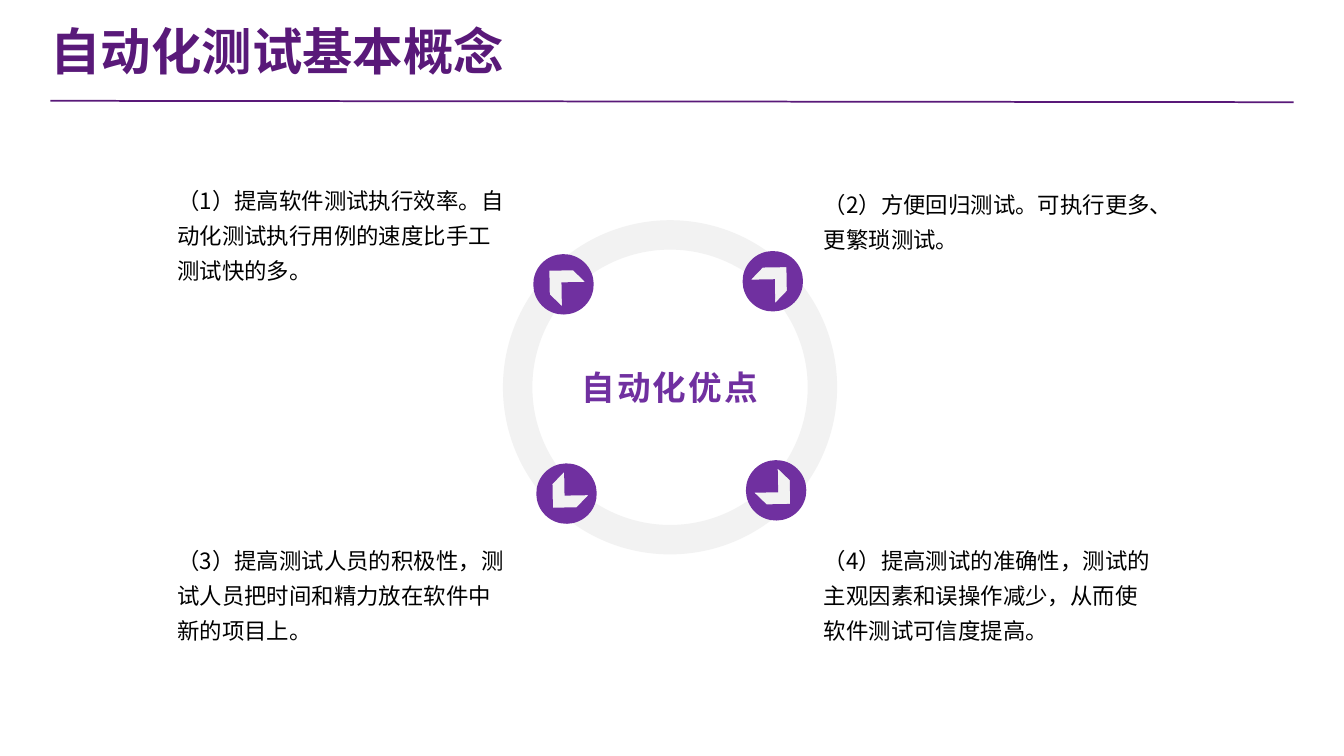
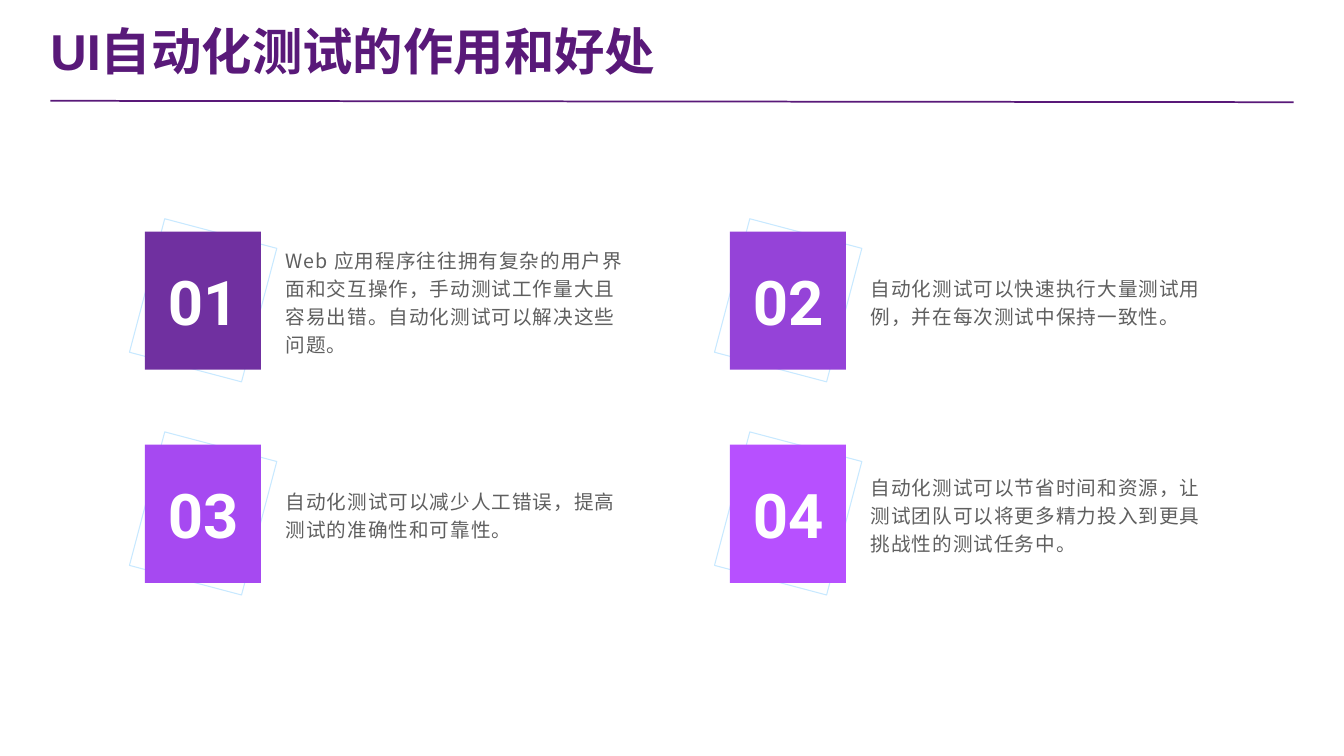
from lxml import etree
from pptx import Presentation
from pptx import util as u
from pptx.dml.color import RGBColor
from pptx.enum import shapes, text
from pptx.oxml.ns import qn

INK = {
    "head": "591979", "main": "7030A0", "ring": "F2F2F2", "frame": "C8E9FF",
    "black": "000000", "grey": "5F5F5F", "white": "FFFFFF",
}
CJK = "Noto Sans CJK SC"
RADIUS = 43.2
BEND = 0.55
ARROW = [(0, -28), (-24, -4), (-24, 20), (0, -4), (24, 20), (24, -4)]
BADGES = [(805, 406.2), (1104, 401.8), (1108.7, 700.5), (809.3, 705.1)]
PLUSES = [
    (246.2, 251.3, 159.8, "（1）提高软件测试执行效率。自动化测试执行用例的速度比手工测试快的多。"),
    (1169.8, 251.3, 119.5, "（2）方便回归测试。可执行更多、更繁琐测试。"),
    (246.2, 750.5, 188.2, "（3）提高测试人员的积极性，测试人员把时间和精力放在软件中新的项目上。"),
    (1169.8, 750.5, 188.2, "（4）提高测试的准确性，测试的主观因素和误操作减少，从而使软件测试可信度提高。"),
]
CARDS = [
    ("7030A0", "Web 应用程序往往拥有复杂的用户界面和交互操作，手动测试工作量大且容易出错。自动化测试可以解决这些问题。"),
    ("9543D8", "自动化测试可以快速执行大量测试用例，并在每次测试中保持一致性。"),
    ("A649F1", "自动化测试可以减少人工错误，提高测试的准确性和可靠性。"),
    ("B750FF", "自动化测试可以节省时间和资源，让测试团队可以将更多精力投入到更具挑战性的测试任务中。"),
]


def rgb(ink):
    """Return the colour for a hex string."""
    return RGBColor.from_string(ink)


def put(frame, words, size, ink, face=CJK, bold=False, align="LEFT",
        anchor="MIDDLE", wrap=True, lead=None, track=0, inset=None):
    """Write one formatted paragraph into a text frame."""
    frame.word_wrap = wrap
    frame.auto_size = text.MSO_AUTO_SIZE.NONE
    frame.vertical_anchor = text.MSO_ANCHOR[anchor]
    if inset is not None:
        frame.margin_left = frame.margin_right = u.Pt(inset)
        frame.margin_top = frame.margin_bottom = u.Pt(inset)
    para = frame.paragraphs[0]
    para.alignment = text.PP_ALIGN[align]
    if lead:
        para.line_spacing = lead
    run = para.add_run()
    run.text = words
    run.font.size = u.Pt(size)
    run.font.bold = bold
    run.font.color.rgb = rgb(ink)
    run.font.name = face
    props = run._r.get_or_add_rPr()
    etree.SubElement(props, qn("a:ea")).set("typeface", CJK)
    if track:
        props.set("spc", str(int(track * 100)))


def label(slide, box, words, size, ink, **style):
    """Add a text box at left, top, width and height."""
    area = slide.shapes.add_textbox(*map(u.Pt, box))
    put(area.text_frame, words, size, ink, **style)


def paint(shape, fill=None, line=None, width=1.5):
    """Set fill and outline and drop the shadow."""
    shape.shadow.inherit = False
    if fill:
        shape.fill.solid()
        shape.fill.fore_color.rgb = rgb(fill)
    else:
        shape.fill.background()
    if line:
        shape.line.color.rgb = rgb(line)
        shape.line.width = u.Pt(width)
    else:
        shape.line.fill.background()


def form(slide, kind, box, **style):
    """Add a painted preset shape."""
    shape = slide.shapes.add_shape(shapes.MSO_SHAPE[kind], *map(u.Pt, box))
    paint(shape, **style)
    return shape


def start(deck, words, width):
    """Add a slide with its title and rule."""
    slide = deck.slides.add_slide(deck.slide_layouts[5])
    title = slide.shapes.title
    title.left, title.top = u.Pt(72), u.Pt(24)
    title.width, title.height = u.Pt(width), u.Pt(96)
    put(title.text_frame, words, 72, INK["head"], face="Arial", bold=True, inset=0)
    ends = map(u.Pt, (72, 144, 1848, 146))
    rule = slide.shapes.add_connector(shapes.MSO_CONNECTOR.STRAIGHT, *ends)
    rule.line.color.rgb = rgb(INK["head"])
    rule.line.width = u.Pt(2.5)
    etree.SubElement(rule._element.spPr, qn("a:effectLst"))
    return slide


def disc():
    """Return a circle as a start and three points for each of four curves."""
    spots = [(0, -RADIUS)]
    for _ in range(4):
        a, b = spots[-1]
        c, d = -b, a
        spots += [(a + BEND * c, b + BEND * d), (c + BEND * a, d + BEND * b), (c, d)]
    return spots


def curve(shape, count):
    """Merge the last line segments, three at a time, into curves."""
    lines = list(shape._element.iter(qn("a:lnTo")))[-3 * count:]
    for n in range(0, len(lines), 3):
        first, *rest = lines[n:n + 3]
        bend = etree.Element(qn("a:cubicBezTo"))
        first.addprevious(bend)
        for line in (first, *rest):
            bend.append(line[0])
            line.getparent().remove(line)


def badge(slide, x, y, angle):
    """Add a turned disc with an arrow cut out."""
    cut, rim = ([(u.Pt(x + a), u.Pt(y + b)) for a, b in ring] for ring in (ARROW, disc()))
    pen = slide.shapes.build_freeform(*cut[0])
    pen.add_line_segments(cut[1:], close=True)
    pen.move_to(*rim[0])
    pen.add_line_segments(rim[1:], close=True)
    shape = pen.convert_to_shape()
    curve(shape, 4)
    shape.rotation = angle
    paint(shape, fill=INK["main"])


def card(slide, x, y, mark, fill, words):
    """Add a numbered tile with a tilted frame and its text."""
    frame = form(slide, "RECTANGLE", (x + 0.6, y - 0.4, 165.6, 197.3), line=INK["frame"])
    frame.rotation = 14.8
    form(slide, "RECTANGLE", (x, y, 165.8, 197.3), fill=fill)
    label(slide, (x + 20.7, y + 42.1, 125.3, 112.3), mark, 88, INK["white"],
          face="Roboto", bold=True, align="CENTER", anchor="TOP", wrap=False)
    label(slide, (x + 194.2, y - 10.7, 499, 218.2), words, 28, INK["grey"],
          lead=1.2, track=1.5)


def main():
    """Build both slides and save them."""
    deck = Presentation()
    deck.slide_width, deck.slide_height = u.Pt(1920), u.Pt(1080)

    slide = start(deck, "自动化测试基本概念", 984)
    ring = form(slide, "DONUT", (718.5, 314.6, 477.4, 477.4), fill=INK["ring"])
    ring.adjustments[0] = 0.088
    for n, (x, y) in enumerate(BADGES):
        badge(slide, x, y, (314 + 90 * n) % 360)
    for x, y, tall, words in PLUSES:
        label(slide, (x, y, 492.5, tall), words, 32, INK["black"], lead=1.3)
    label(slide, (818.6, 439.6, 276.5, 227.5), "自动化优点", 48, INK["main"],
          face="Arial", bold=True, align="CENTER", track=3)

    slide = start(deck, "UI自动化测试的作用和好处", 1146)
    for n, (fill, words) in enumerate(CARDS):
        row, col = divmod(n, 2)
        card(slide, 206.8 + 835.8 * col, 330.8 + 304.5 * row, f"{n + 1:02}", fill, words)

    deck.save("out.pptx")


if __name__ == "__main__":
    main()
